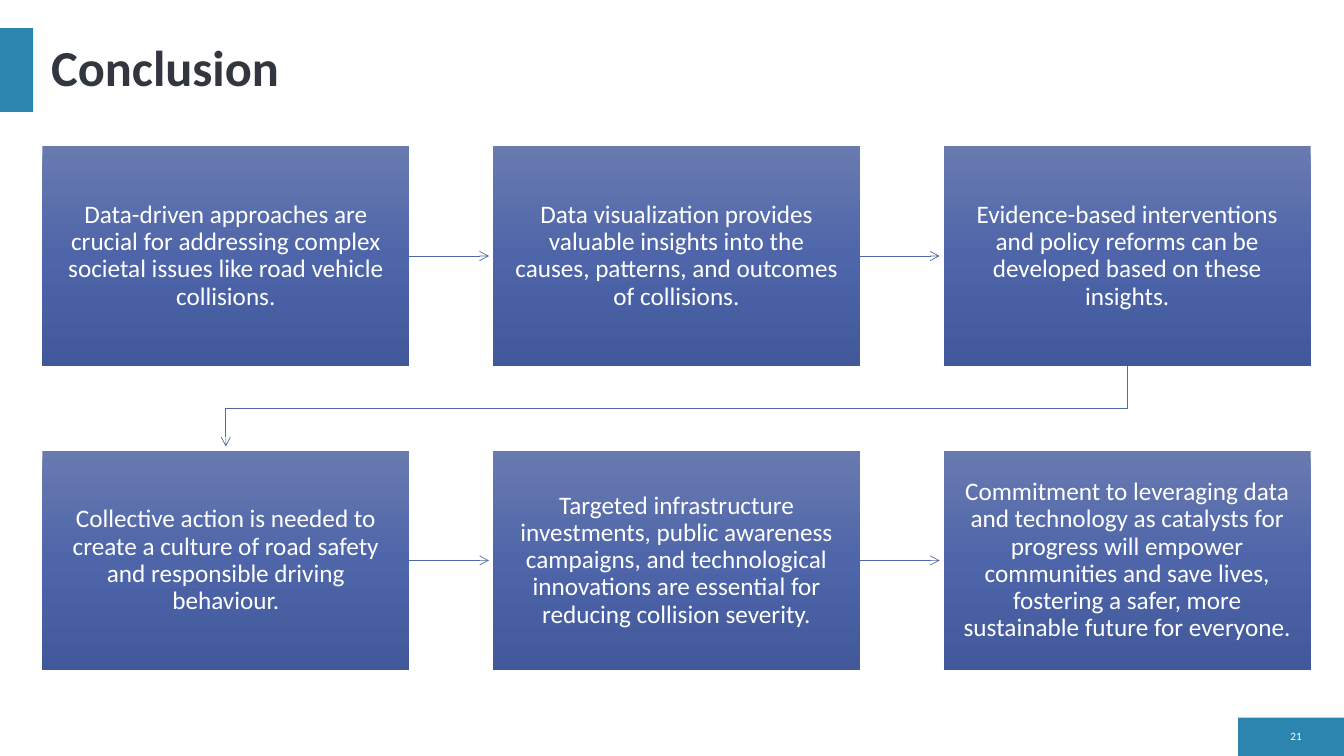
from dataclasses import dataclass

import pptx
import pptx.dml.color
import pptx.enum.shapes
import pptx.enum.text
import pptx.oxml.ns
import pptx.shapes.autoshape
import pptx.shapes.base
import pptx.slide
import pptx.text.text
import pptx.util
from copy import deepcopy
from lxml import etree

Inches = pptx.util.Inches
Pt = pptx.util.Pt
qn = pptx.oxml.ns.qn
Align = pptx.enum.text.PP_ALIGN
RECTANGLE = pptx.enum.shapes.MSO_SHAPE.RECTANGLE

COLORS = {
    "accent": "2C85AE",
    "title": "32363F",
    "white": "FFFFFF",
    "arrow": "5268A5",
}
STEP_GRADIENT = [(0, "697AB0"), (0.5, "4E66A9"), (1, "41599A")]

COLUMNS = 3
LEFT, TOP = 0.42, 1.45
STEP_WIDTH, STEP_HEIGHT = 3.64, 2.18
PITCH_X, PITCH_Y = 4.47, 3.02
ARROW_GAP = 0.04


@dataclass
class Step:
    text: str
    index: int

    @property
    def column(self) -> int:
        return self.index % COLUMNS

    @property
    def left(self) -> float:
        return LEFT + self.column * PITCH_X

    @property
    def top(self) -> float:
        return TOP + self.index // COLUMNS * PITCH_Y

    @property
    def center_x(self) -> float:
        return self.left + STEP_WIDTH / 2

    @property
    def center_y(self) -> float:
        return self.top + STEP_HEIGHT / 2

    @property
    def bottom(self) -> float:
        return self.top + STEP_HEIGHT


@dataclass
class Label:
    text: str
    left: float
    top: float
    width: float
    height: float
    size: float
    color: str
    align: Align
    bold: bool = False
    space_after: float = 0


@dataclass
class Band:
    left: float
    top: float
    width: float
    height: float


STEPS = [Step(text, index) for index, text in enumerate([
    "Data-driven approaches are crucial for addressing complex societal issues "
    "like road vehicle collisions.",
    "Data visualization provides valuable insights into the causes, patterns, "
    "and outcomes of collisions.",
    "Evidence-based interventions and policy reforms can be developed based on "
    "these insights.",
    "Collective action is needed to create a culture of road safety and "
    "responsible driving behaviour.",
    "Targeted infrastructure investments, public awareness campaigns, and "
    "technological innovations are essential for reducing collision severity.",
    "Commitment to leveraging data and technology as catalysts for progress will "
    "empower communities and save lives, fostering a safer, more sustainable "
    "future for everyone.",
])]
BANDS = [Band(12.28, 7.12, 1.05, 0.38), Band(0, 0.28, 0.33, 0.83)]
LABELS = [
    Label("Conclusion", 0.41, 0.28, 12.6, 0.83, 36, "title", Align.LEFT, bold=True),
    Label("21", 12.6, 7.2, 0.41, 0.23, 8, "white", Align.RIGHT, space_after=6),
]


def rgb(value: str) -> pptx.dml.color.RGBColor:
    return pptx.dml.color.RGBColor.from_string(value)


def write_text(frame: pptx.text.text.TextFrame, text: str, size: float, color: str,
               align: Align, bold: bool = False, space_after: float = 0) -> None:
    frame.text = text
    frame.word_wrap = True
    frame.vertical_anchor = pptx.enum.text.MSO_ANCHOR.MIDDLE
    paragraph = frame.paragraphs[0]
    paragraph.alignment = align
    paragraph.line_spacing = 0.9
    paragraph.space_after = Pt(space_after)
    font = paragraph.runs[0].font
    font.name = "Calibri"
    font.size = Pt(size)
    font.bold = bold
    font.color.rgb = rgb(COLORS[color])


def add_rectangle(slide: pptx.slide.Slide, left: float, top: float, width: float,
                  height: float) -> pptx.shapes.autoshape.Shape:
    rectangle = slide.shapes.add_shape(
        RECTANGLE, Inches(left), Inches(top), Inches(width), Inches(height))
    rectangle.shadow.inherit = False
    rectangle.line.fill.background()
    return rectangle


def add_band(slide: pptx.slide.Slide, band: Band) -> None:
    rectangle = add_rectangle(slide, band.left, band.top, band.width, band.height)
    rectangle.fill.solid()
    rectangle.fill.fore_color.rgb = rgb(COLORS["accent"])


def add_label(slide: pptx.slide.Slide, label: Label) -> None:
    box = slide.shapes.add_textbox(Inches(label.left), Inches(label.top),
                                   Inches(label.width), Inches(label.height))
    write_text(box.text_frame, label.text, label.size, label.color, label.align,
               label.bold, label.space_after)


def add_step(slide: pptx.slide.Slide, step: Step) -> pptx.shapes.autoshape.Shape:
    box = add_rectangle(slide, step.left, step.top, STEP_WIDTH, STEP_HEIGHT)
    box.fill.gradient()
    box.fill.gradient_angle = 270
    stop_list = next(box.element.spPr.iter(qn("a:gsLst")))
    stop_list.append(deepcopy(stop_list[-1]))
    for stop, (position, color) in zip(box.fill.gradient_stops, STEP_GRADIENT):
        stop.position = position
        stop.color.rgb = rgb(color)
    frame = box.text_frame
    frame.margin_left = frame.margin_right = Inches(0.18)
    frame.margin_top = frame.margin_bottom = Inches(0.19)
    write_text(frame, step.text, 18, "white", Align.CENTER, space_after=6.3)
    return box


def style_arrow(arrow: pptx.shapes.base.BaseShape) -> None:
    arrow.line.color.rgb = rgb(COLORS["arrow"])
    arrow.line.width = Pt(0.5)
    properties = arrow.element.spPr
    etree.SubElement(properties.find(qn("a:ln")), qn("a:tailEnd"), type="arrow")
    if properties.find(qn("a:effectLst")) is None:
        etree.SubElement(properties, qn("a:effectLst"))


def add_row_arrow(slide: pptx.slide.Slide, start: Step, end: Step,
                  start_box: pptx.shapes.autoshape.Shape) -> None:
    arrow = slide.shapes.add_connector(
        pptx.enum.shapes.MSO_CONNECTOR.STRAIGHT,
        Inches(start.left + STEP_WIDTH), Inches(start.center_y),
        Inches(end.left - ARROW_GAP), Inches(end.center_y))
    arrow.begin_connect(start_box, 3)
    style_arrow(arrow)


def add_return_arrow(slide: pptx.slide.Slide, start: Step, end: Step) -> None:
    """Lead from the end of one row to the start of the next."""
    turn_y = (start.bottom + end.top) / 2
    corners = [(start.center_x, turn_y), (end.center_x, turn_y),
               (end.center_x, end.top - ARROW_GAP)]
    builder = slide.shapes.build_freeform(
        Inches(start.center_x), Inches(start.bottom))
    builder.add_line_segments([(Inches(x), Inches(y)) for x, y in corners], close=False)
    arrow = builder.convert_to_shape()
    arrow.fill.background()
    style_arrow(arrow)


def main() -> None:
    presentation = pptx.Presentation()
    presentation.slide_width = Inches(13.33)
    presentation.slide_height = Inches(7.5)
    slide = presentation.slides.add_slide(presentation.slide_layouts[6])
    for band in BANDS:
        add_band(slide, band)
    for label in LABELS:
        add_label(slide, label)
    step_boxes = [add_step(slide, step) for step in STEPS]
    for start, end, start_box in zip(STEPS, STEPS[1:], step_boxes):
        if end.column:
            add_row_arrow(slide, start, end, start_box)
        else:
            add_return_arrow(slide, start, end)
    presentation.save("out.pptx")


if __name__ == "__main__":
    main()
